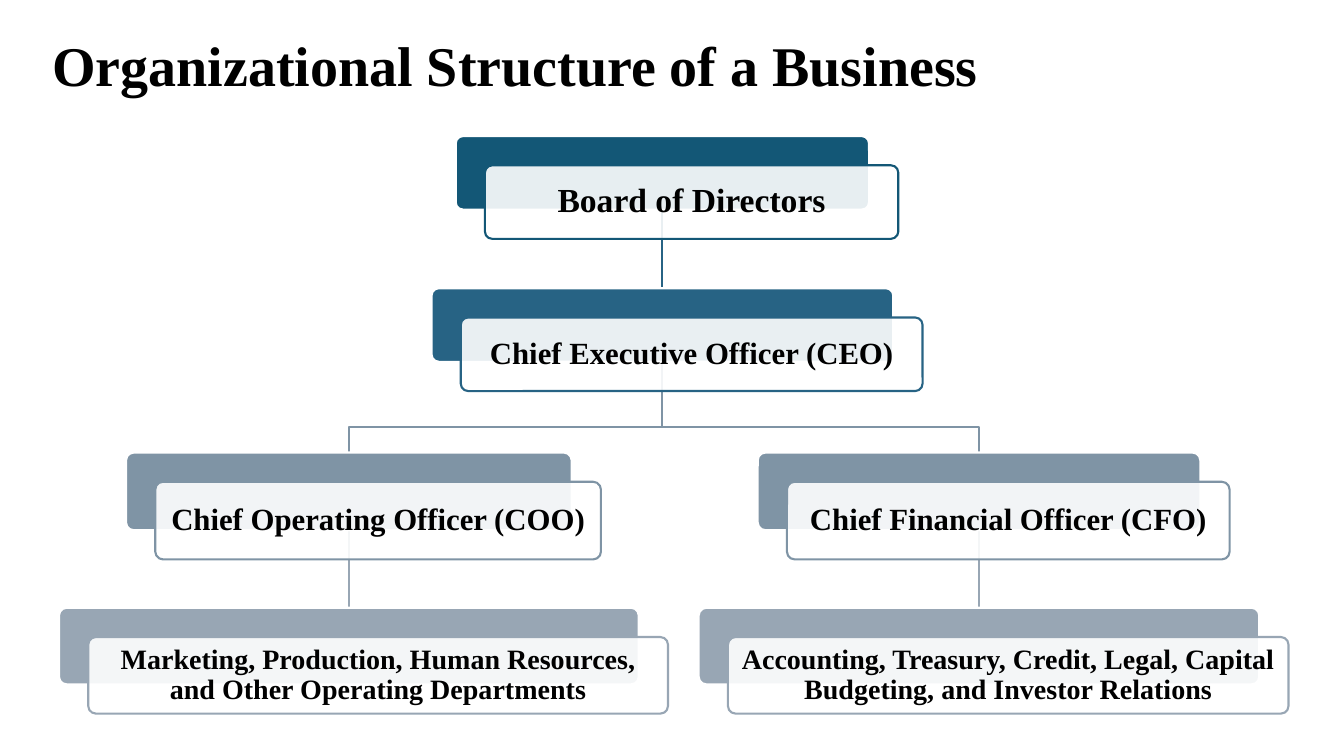
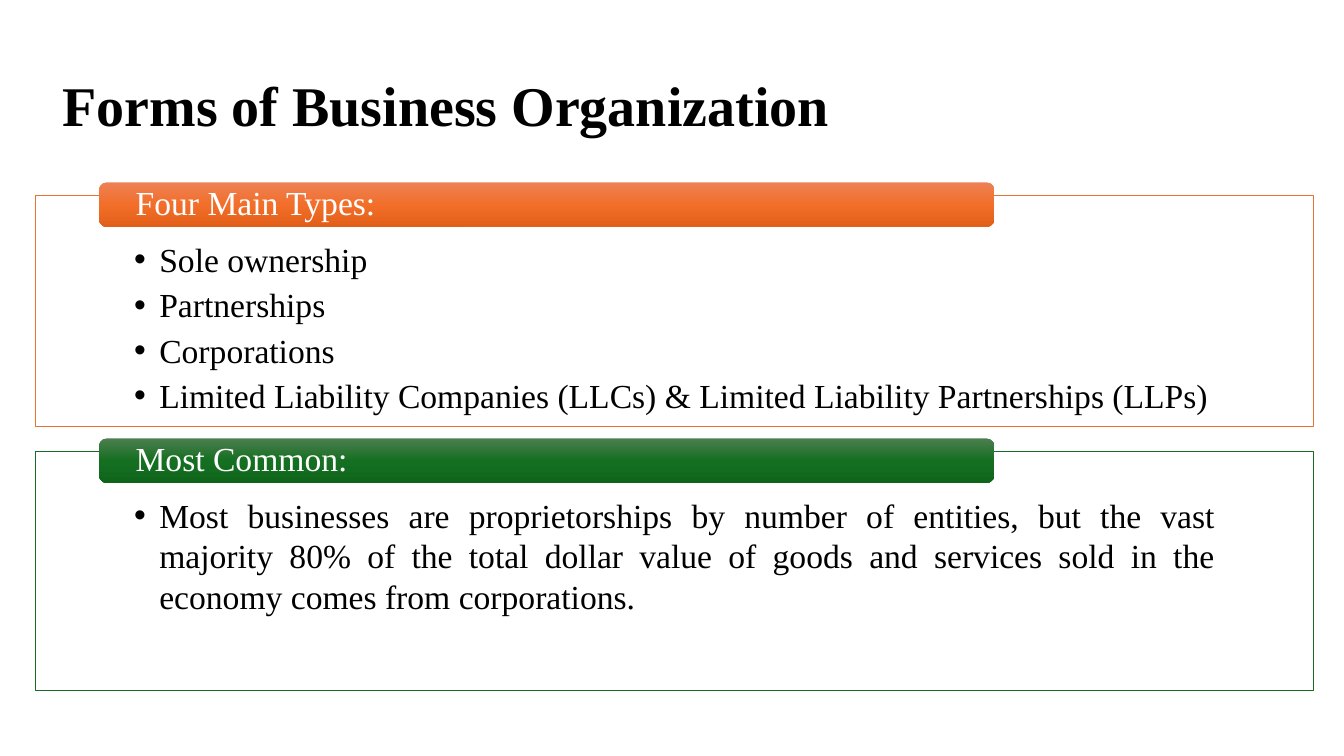
from copy import deepcopy
from pptx import Presentation
from pptx.dml.color import RGBColor
from pptx.enum.shapes import MSO_CONNECTOR, MSO_SHAPE
from pptx.enum.text import MSO_ANCHOR, PP_ALIGN
from pptx.oxml.ns import qn
from pptx.util import Inches, Pt
from lxml.etree import SubElement

FONT = "Times New Roman"
BLACK = RGBColor(0x00, 0x00, 0x00)
WHITE = RGBColor(0xFF, 0xFF, 0xFF)
DEEP = RGBColor(0x13, 0x57, 0x76)
BLUE = RGBColor(0x27, 0x63, 0x84)
SLATE = RGBColor(0x7F, 0x94, 0xA5)
MIST = RGBColor(0x98, 0xA6, 0xB4)
ORANGE = RGBColor(0xE9, 0x71, 0x32)
GREEN = RGBColor(0x19, 0x6B, 0x24)
ORANGES = (RGBColor(0xED, 0x82, 0x57), RGBColor(0xF2, 0x6E, 0x29),
           RGBColor(0xE2, 0x5F, 0x1A))
GREENS = (RGBColor(0x4D, 0x7E, 0x50), RGBColor(0x15, 0x6F, 0x21),
          RGBColor(0x0F, 0x66, 0x1B))

SHIFT = 0.29              # offset of a card's front from its back
BUS = 4.24                # height of the line above the two officers
MID, LEFT, RIGHT = 6.57, 3.46, 9.71
# top, height, colour, text size, margin
ROWS = [(1.35, 0.73, DEEP, 24, 0.1), (2.86, 0.73, BLUE, 22, 0.09),
        (4.49, 0.77, SLATE, 22, 0.09), (6.03, 0.76, MIST, 20, 0.08)]


def put(item, values):
    for name, value in values.items():
        setattr(item, name, value)


def write(shape, lines, size, color, margins, bold=False,
          anchor=MSO_ANCHOR.MIDDLE, **format):
    """Fill the shape with one paragraph per line; margins are l, t, r, b."""
    frame = shape.text_frame
    left, top, right, bottom = map(Inches, margins)
    put(frame, dict(word_wrap=True, vertical_anchor=anchor, margin_left=left,
                    margin_top=top, margin_right=right, margin_bottom=bottom))
    for i, line in enumerate(lines):
        par = frame.add_paragraph() if i else frame.paragraphs[0]
        run = par.add_run()
        run.text = line
        put(par, format)
        put(run.font, dict(name=FONT, size=Pt(size), bold=bold))
        run.font.color.rgb = color
    return frame.paragraphs


def start(deck, text, box):
    slide = deck.slides.add_slide(deck.slide_layouts[5])
    title = slide.shapes.title
    put(title, dict(zip(("left", "top", "width", "height"), map(Inches, box))))
    write(title, [text], 40, BLACK, (0.1, 0.05, 0.1, 0.05), bold=True,
          anchor=MSO_ANCHOR.BOTTOM, alignment=PP_ALIGN.LEFT, line_spacing=0.9)
    return slide


def block(slide, kind, box, fill=None, line=None, weight=1.5, alpha=None):
    shape = slide.shapes.add_shape(kind, *map(Inches, box))
    shape.shadow.inherit = False
    if fill is not None:
        shape.fill.solid()
        shape.fill.fore_color.rgb = fill
    if alpha:
        tint = next(shape.fill._xPr.iter(qn("a:srgbClr")))
        SubElement(tint, qn("a:alpha")).set("val", str(alpha * 1000))
    if line is None:
        shape.line.fill.background()
    else:
        stroke(shape, line, weight)
    return shape


def stroke(shape, color, weight=1.5):
    shape.line.color.rgb = color
    shape.line.width = Pt(weight)


def card(slide, text, mid, width, row):
    """Place a card with its back centred on mid; return the back."""
    top, high, color, size, pad = ROWS[row]
    left = mid - width / 2
    kind = MSO_SHAPE.ROUNDED_RECTANGLE
    back = block(slide, kind, (left, top, width, high), color, WHITE)
    front = block(slide, kind, (left + SHIFT, top + SHIFT, width, high),
                  WHITE, color, alpha=90)
    for part in (back, front):
        part.adjustments[0] = 0.1
    write(front, [text], size, BLACK, [pad] * 4, bold=True,
          alignment=PP_ALIGN.CENTER, line_spacing=0.9)
    return back


def sink(slide, shape):
    """Send the shape behind the cards."""
    slide.shapes._spTree.insert(2, shape._element)


def link(slide, upper, color, lower=None):
    """Run a line down from upper to lower, or to the shared bus."""
    x, y = upper.left + upper.width // 2, upper.top + upper.height
    end = lower.top if lower else Inches(BUS)
    line = slide.shapes.add_connector(MSO_CONNECTOR.STRAIGHT, x, y, x, end)
    line.begin_connect(upper, 2)
    if lower:
        line.end_connect(lower, 0)
    stroke(line, color)
    SubElement(line._element.spPr, qn("a:effectLst"))
    sink(slide, line)


def fork(slide, color):
    """Draw the bus with its drop to each officer."""
    foot = ROWS[2][0]
    pen = slide.shapes.build_freeform(Inches(LEFT), Inches(foot))
    pen.add_line_segments([(Inches(x), Inches(y)) for x, y in
                           ((LEFT, BUS), (RIGHT, BUS), (RIGHT, foot))],
                          close=False)
    bus = pen.convert_to_shape()
    bus.shadow.inherit = False
    bus.fill.background()
    stroke(bus, color)
    sink(slide, bus)


def chart(deck):
    slide = start(deck, "Organizational Structure of a Business",
                  (0.42, 0.12, 11.99, 0.91))
    board = card(slide, "Board of Directors", MID, 4.1, 0)
    chief = card(slide, "Chief Executive Officer (CEO)", MID, 4.58, 1)
    sides = [
        (LEFT, "Chief Operating Officer (COO)", 4.42,
         "Marketing, Production, Human Resources, "
         "and Other Operating Departments", 5.75),
        (RIGHT, "Chief Financial Officer (CFO)", 4.39,
         "Accounting, Treasury, Credit, Legal, Capital Budgeting, "
         "and Investor Relations", 5.56)]
    for mid, role, wide, units, span in sides:
        head = card(slide, role, mid, wide, 2)
        team = card(slide, units, mid, span, 3)
        link(slide, head, MIST, team)
    link(slide, board, BLUE, chief)
    link(slide, chief, SLATE)
    fork(slide, SLATE)


def shade(shape, colors):
    """Blend three colours from top to bottom."""
    fill = shape.fill
    fill.gradient()
    fill.gradient_angle = 270
    stops = next(fill._xPr.iter(qn("a:gsLst")))
    stops.insert(1, deepcopy(stops[0]))
    for i, (stop, color) in enumerate(zip(fill.gradient_stops, colors)):
        stop.position = i / 2
        stop.color.rgb = color


def panel(slide, box, head, lines, color, blend, align):
    left, top, width, _ = box
    body = block(slide, MSO_SHAPE.RECTANGLE, box, WHITE, color, 1, alpha=90)
    pars = write(body, lines, 24, BLACK, (0.98, 0.43, 0.98, 0.19),
                 anchor=MSO_ANCHOR.TOP, alignment=align, space_after=Pt(3.6))
    for par in pars:
        props = par._p.get_or_add_pPr()
        props.set("marL", str(Inches(0.25)))
        props.set("indent", str(Inches(-0.25)))
        SubElement(props, qn("a:buFont")).set("typeface", "Arial")
        SubElement(props, qn("a:buChar")).set("char", "•")
    tab = block(slide, MSO_SHAPE.ROUNDED_RECTANGLE,
                (left + width * 0.05, top - 0.13, width * 0.7, 0.44))
    shade(tab, blend)
    write(tab, [head], 24, WHITE, (0.34, 0, 0.34, 0),
          alignment=PP_ALIGN.LEFT, line_spacing=0.9)


def forms(deck):
    slide = start(deck, "Forms of Business Organization",
                  (0.52, 0.6, 11.89, 0.83))
    panel(slide, (0.35, 1.94, 12.68, 2.29), "Four Main Types:",
          ["Sole ownership", "Partnerships", "Corporations",
           "Limited Liability Companies (LLCs) & "
           "Limited Liability Partnerships (LLPs)"],
          ORANGE, ORANGES, PP_ALIGN.LEFT)
    panel(slide, (0.35, 4.48, 12.68, 2.37), "Most Common:",
          ["Most businesses are proprietorships by number of entities, but "
           "the vast majority 80% of the total dollar value of goods and "
           "services sold in the economy comes from corporations."],
          GREEN, GREENS, PP_ALIGN.JUSTIFY)


def main():
    deck = Presentation()
    put(deck, dict(slide_width=Inches(13.33), slide_height=Inches(7.5)))
    chart(deck)
    forms(deck)
    deck.save("out.pptx")


if __name__ == "__main__":
    main()
